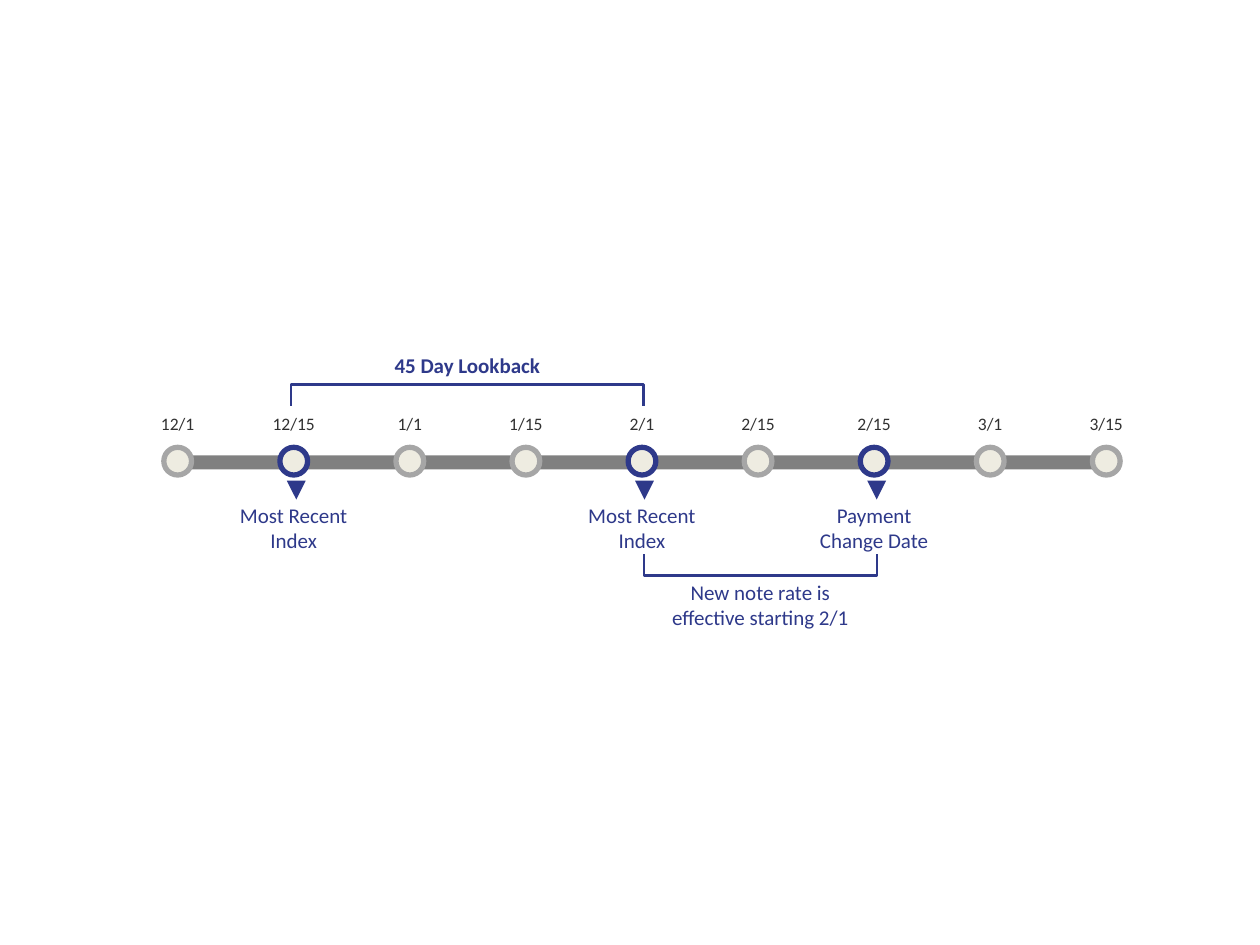
from dataclasses import dataclass

from pptx import Presentation, util as u
from pptx.dml.color import RGBColor
from pptx.enum import shapes, text


@dataclass(frozen=True)
class Theme:
    font: str = "Calibri"
    navy: str = "2E398A"
    bar: str = "808080"
    ring: str = "A6A6A6"
    cream: str = "EEECE1"
    ink: str = "313131"
    date_size: int = 10
    label_size: int = 12
    ring_width: float = 3
    bracket_width: float = 1.5


THEME = Theme()
DATES = ["12/1", "12/15", "1/1", "1/15", "2/1", "2/15", "2/15", "3/1", "3/15"]
MILESTONES = {1: "Most Recent Index", 4: "Most Recent Index", 6: "Payment Change Date"}
LOOKBACK = ["45 Day Lookback"]
NEW_RATE = ["New note rate is", "effective starting 2/1"]

WIDTH, HEIGHT = 10, 7.5
FIRST, LAST = 1.41, 8.78
PITCH = (LAST - FIRST) / (len(DATES) - 1)
AXIS = 3.66
DOT, POINTER, BAR = 0.22, 0.15, 0.11
POINTER_SHIFT = 0.02
LOOKBACK_SPAN = (2.31, 5.11)
RATE_SPAN = (5.11, 6.96)

prs = Presentation()
prs.slide_width, prs.slide_height = u.Inches(WIDTH), u.Inches(HEIGHT)
slide = prs.slides.add_slide(prs.slide_layouts[6])


def color(value):
    return RGBColor.from_string(value)


def add_solid(kind, center, middle, width, height, fill, ring=None):
    solid = slide.shapes.add_shape(
        kind, u.Inches(center - width / 2), u.Inches(middle - height / 2),
        u.Inches(width), u.Inches(height))
    solid.shadow.inherit = False
    solid.fill.solid()
    solid.fill.fore_color.rgb = color(fill)
    if ring:
        solid.line.color.rgb = color(ring)
        solid.line.width = u.Pt(THEME.ring_width)
    else:
        solid.line.fill.background()
    return solid


def add_label(lines, center, top, width, height, size, ink, bold=False):
    box = slide.shapes.add_textbox(
        u.Inches(center - width / 2), u.Inches(top), u.Inches(width), u.Inches(height))
    frame = box.text_frame
    frame.word_wrap = True
    frame.auto_size = text.MSO_AUTO_SIZE.SHAPE_TO_FIT_TEXT
    frame.margin_left = frame.margin_right = frame.margin_top = frame.margin_bottom = 0
    for index, line in enumerate(lines):
        paragraph = frame.add_paragraph() if index else frame.paragraphs[0]
        paragraph.alignment = text.PP_ALIGN.CENTER
        run = paragraph.add_run()
        run.text = line
        run.font.name, run.font.size, run.font.bold = THEME.font, u.Pt(size), bold
        run.font.color.rgb = color(ink)


def add_bracket(span, tips, spine):
    left, right = span
    corners = [(left, tips), (left, spine), (right, spine), (right, tips)]
    points = [(u.Inches(x), u.Inches(y)) for x, y in corners]
    builder = slide.shapes.build_freeform(*points[0])
    builder.add_line_segments(points[1:], close=False)
    bracket = builder.convert_to_shape()
    bracket.shadow.inherit = False
    bracket.fill.background()
    bracket.line.color.rgb = color(THEME.navy)
    bracket.line.width = u.Pt(THEME.bracket_width)


def add_span_label(lines, span, top, height, bold=False):
    left, right = span
    add_label(lines, (left + right) / 2, top, right - left, height,
              THEME.label_size, THEME.navy, bold)


add_solid(shapes.MSO_SHAPE.RECTANGLE, 5.06, AXIS + 0.01, 7.48, BAR, THEME.bar)

for column, date in enumerate(DATES):
    center = FIRST + column * PITCH
    milestone = MILESTONES.get(column)
    add_solid(shapes.MSO_SHAPE.OVAL, center, AXIS, DOT, DOT, THEME.cream,
              THEME.navy if milestone else THEME.ring)
    add_label([date], center, 3.28, 0.66, 0.17, THEME.date_size, THEME.ink)
    if milestone:
        pointer = add_solid(shapes.MSO_SHAPE.ISOSCELES_TRIANGLE, center + POINTER_SHIFT,
                            3.89, POINTER, POINTER, THEME.navy)
        pointer.rotation = 180
        add_label([milestone], center, 3.99, 1, 0.4, THEME.label_size, THEME.navy)

add_bracket(LOOKBACK_SPAN, 3.22, 3.05)
add_span_label(LOOKBACK, LOOKBACK_SPAN, 2.8, 0.2, bold=True)
add_bracket(RATE_SPAN, 4.4, 4.57)
add_span_label(NEW_RATE, RATE_SPAN, 4.6, 0.4)

prs.save("out.pptx")
